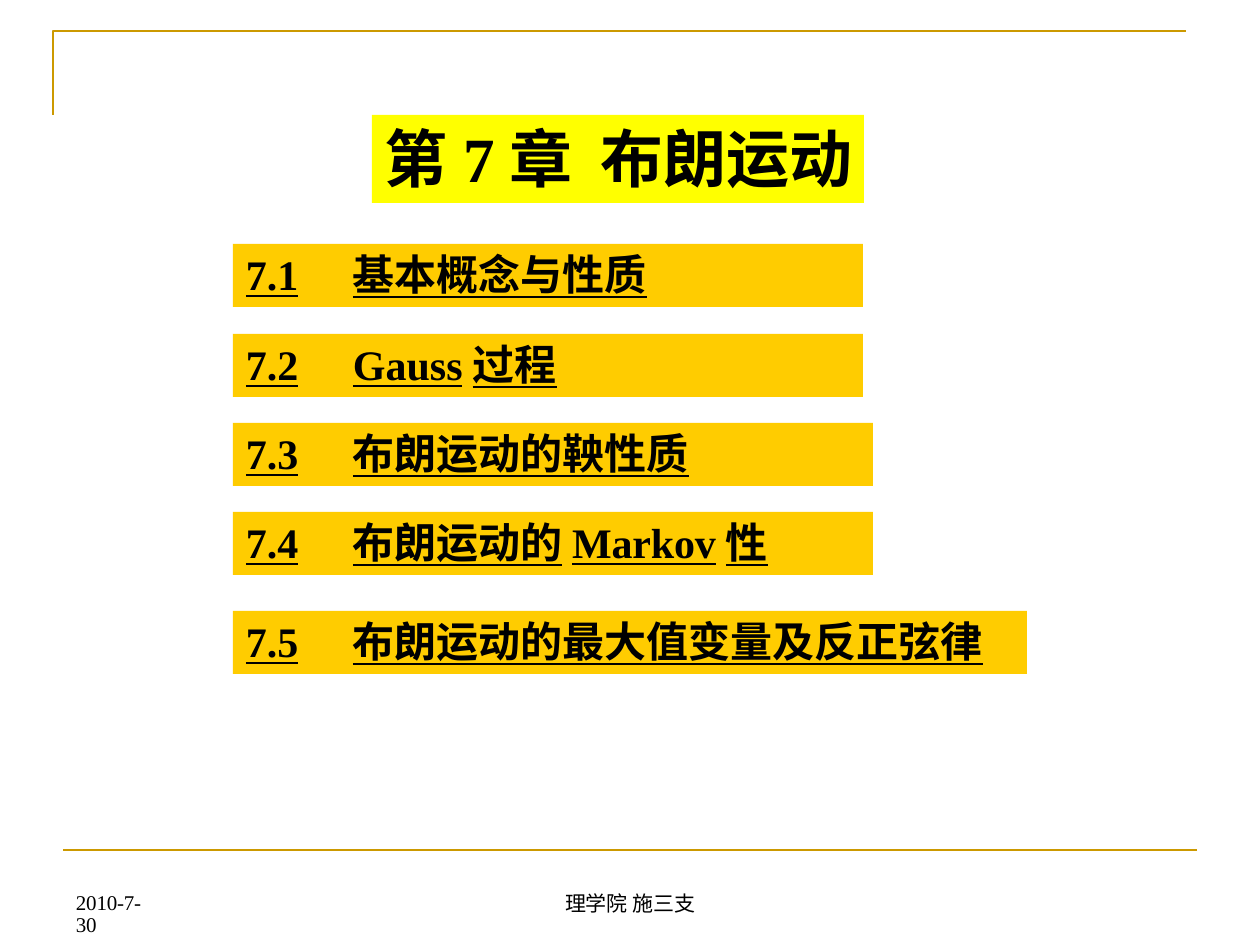
from dataclasses import dataclass

from lxml.etree import SubElement
from pptx import Presentation
from pptx.dml.color import RGBColor
from pptx.enum.shapes import MSO_CONNECTOR, MSO_SHAPE
from pptx.enum.text import MSO_ANCHOR, MSO_AUTO_SIZE, PP_ALIGN
from pptx.oxml.ns import qn
from pptx.util import Emu, Pt

PX = 914400 / 126


def px(n):
    """Turn pixels into EMU."""
    return Emu(round(n * PX))


@dataclass(frozen=True)
class Theme:
    """Colours, fonts and type sizes."""
    ink: RGBColor = RGBColor(0x00, 0x00, 0x00)
    rule: RGBColor = RGBColor(0xCC, 0x99, 0x00)
    title_fill: RGBColor = RGBColor(0xFF, 0xFF, 0x00)
    item_fill: RGBColor = RGBColor(0xFF, 0xCC, 0x00)
    latin: str = "Times New Roman"
    cjk: str = "Noto Sans CJK SC"
    title_size: int = 36
    item_size: int = 24
    footer_size: int = 12


def write(tf, text, theme, *, size, bold=False, underline=False, indent=13,
          top=0, tab=None, leading=None):
    """Fill a frame with (text, font, letter spacing) pieces."""
    tf.word_wrap = True
    tf.auto_size = MSO_AUTO_SIZE.NONE
    tf.vertical_anchor = MSO_ANCHOR.TOP
    tf.margin_left = tf.margin_right = tf.margin_bottom = 0
    tf.margin_top = px(top)
    p = tf.paragraphs[0]
    p.alignment = PP_ALIGN.LEFT
    p.space_before = Pt(0)
    if leading:
        p.line_spacing = Pt(leading)
    pPr = p._p.get_or_add_pPr()
    pPr.set("marL", str(px(indent)))
    if tab:
        tabs = SubElement(pPr, qn("a:tabLst"))
        SubElement(tabs, qn("a:tab"), pos=str(px(tab)), algn="l")
    for piece, face, spacing in text:
        r = p.add_run()
        r.text = piece
        r.font.size = Pt(size)
        r.font.bold = bold
        r.font.underline = underline
        r.font.color.rgb = theme.ink
        r.font.name = face
        rPr = r._r.get_or_add_rPr()
        rPr.set("spc", str(spacing))
        SubElement(rPr, qn("a:ea"), typeface=face)


class Deck:
    """Theme and current slide, with one method per kind of element."""

    def __init__(self, s, theme):
        self.s, self.theme = s, theme

    def title(self, x, y, w, h, text):
        """Format the title placeholder as a filled banner."""
        sp = self.s.shapes.title
        sp.left, sp.top, sp.width, sp.height = map(px, (x, y, w, h))
        sp.fill.solid()
        sp.fill.fore_color.rgb = self.theme.title_fill
        write(sp.text_frame, text, self.theme, size=self.theme.title_size,
              bold=True, top=4)

    def item(self, x, y, w, h, text):
        """Add one filled contents bar."""
        sp = self.s.shapes.add_shape(MSO_SHAPE.RECTANGLE, *map(px, (x, y, w, h)))
        sp.shadow.inherit = False
        sp.fill.solid()
        sp.fill.fore_color.rgb = self.theme.item_fill
        sp.line.fill.background()
        write(sp.text_frame, text, self.theme, size=self.theme.item_size,
              bold=True, underline=True, top=5, tab=107)

    def footer(self, x, y, w, h, text, leading):
        """Add a small footer text."""
        sp = self.s.shapes.add_textbox(*map(px, (x, y, w, h)))
        write(sp.text_frame, text, self.theme, size=self.theme.footer_size,
              indent=1, leading=leading)

    def corner(self, points):
        """Add an open outline through the points."""
        start, *rest = points
        fb = self.s.shapes.build_freeform(*start, scale=PX)
        fb.add_line_segments(rest, close=False)
        sp = fb.convert_to_shape()
        sp.shadow.inherit = False
        sp.fill.background()
        self.stroke(sp.line)

    def rule(self, x1, y1, x2, y2):
        """Add a straight rule."""
        c = self.s.shapes.add_connector(MSO_CONNECTOR.STRAIGHT,
                                        *map(px, (x1, y1, x2, y2)))
        self.stroke(c.line)
        SubElement(c._element.spPr, qn("a:effectLst"))

    def stroke(self, line):
        """Apply the rule colour and weight."""
        line.color.rgb = self.theme.rule
        line.width = Pt(1.5)


def main():
    """Build the chapter contents slide."""
    prs = Presentation()
    prs.slide_width, prs.slide_height = px(1260), px(945)
    theme = Theme()
    latin, cjk = theme.latin, theme.cjk
    deck = Deck(prs.slides.add_slide(prs.slide_layouts[5]), theme)
    deck.corner([(53, 115), (53, 31), (1186, 31)])
    deck.rule(63, 850, 1197, 850)
    deck.title(372, 115, 492, 88, [("第", cjk, -10), ("7", latin, -10),
                                   ("章", cjk, -10), (" ", cjk, 800),
                                   ("布朗运动", cjk, -10)])
    items = [
        (244, 630, [("基本概念与性质", cjk, 0)]),
        (334, 630, [("Gauss", latin, 0), ("过程", cjk, 0)]),
        (423, 640, [("布朗运动的鞅性质", cjk, 0)]),
        (512, 640, [("布朗运动的", cjk, -10), ("Markov", latin, -10),
                    ("性", cjk, -10)]),
        (611, 794, [("布朗运动的最大值变量及反正弦律", cjk, 0)]),
    ]
    for number, (y, w, text) in enumerate(items, 1):
        deck.item(233, y, w, 63, [(f"7.{number}\t", latin, 0), *text])
    deck.footer(75, 893, 86, 24, [("2010-7-30", latin, -10)], 12.6)
    deck.footer(564, 892, 135, 24, [("理学院 施三支", cjk, 0)], 13.7)
    prs.save("out.pptx")


if __name__ == "__main__":
    main()
